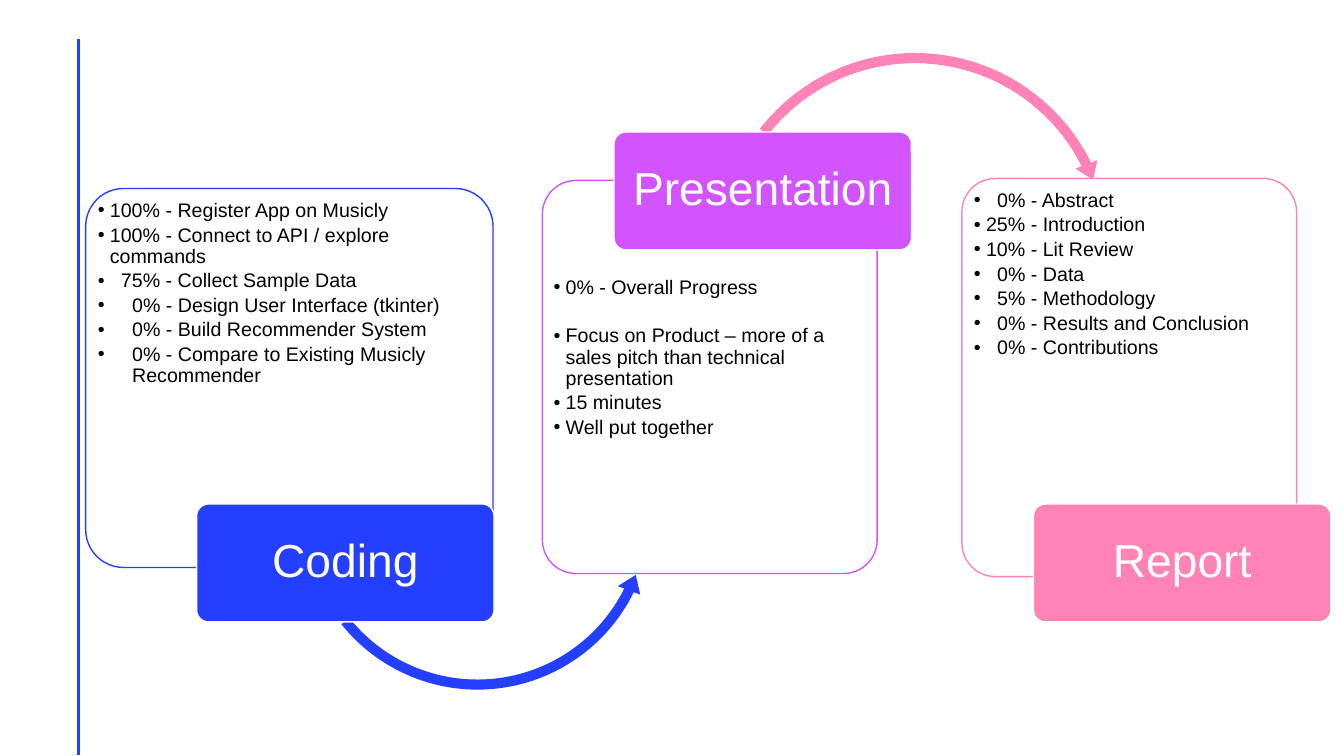
from lxml.etree import SubElement
from pptx import Presentation
from pptx.dml.color import RGBColor
from pptx.enum.shapes import MSO_CONNECTOR as Connector, MSO_SHAPE as Preset
from pptx.enum.text import MSO_ANCHOR as Anchor, MSO_AUTO_SIZE as AutoSize, PP_ALIGN as Align
from pptx.oxml.ns import qn
from pptx.util import Inches, Pt

COLORS = {
    "blue": "243FFF",
    "purple": "D154FF",
    "pink": "FF83B6",
    "white": "FFFFFF",
    "black": "000000",
}
FONT = "Arial"
LABEL_SIZE = (2.95, 1.17)
HANG = 0.12
DIGIT_WIDTH = 0.11

CODING = [
    "100% - Register App on Musicly",
    "100% - Connect to API / explore commands",
    "75% - Collect Sample Data",
    "0% - Design User Interface (tkinter)",
    "0% - Build Recommender System",
    "0% - Compare to Existing Musicly Recommender",
]
PRESENTATION = [
    "0% - Overall Progress",
    "Focus on Product – more of a sales pitch than technical presentation",
    "15 minutes",
    "Well put together",
]
REPORT = [
    "0% - Abstract",
    "25% - Introduction",
    "10% - Lit Review",
    "0% - Data",
    "5% - Methodology",
    "0% - Results and Conclusion",
    "0% - Contributions",
]


def color(name):
    return RGBColor.from_string(COLORS[name])


def percent_digits(item):
    digits, mark, _ = item.partition("%")
    return len(digits) if mark else None


class ProgressPage:
    def __init__(self, deck):
        self.page = deck.slides.add_slide(deck.slide_layouts[4])
        self.bodies = {body.placeholder_format.idx: body for body in self.page.placeholders}

    def add_rule(self, x, top, bottom, name):
        rule = self.page.shapes.add_connector(
            Connector.STRAIGHT, Inches(x), Inches(top), Inches(x), Inches(bottom))
        rule.line.color.rgb = color(name)
        rule.line.width = Pt(2)
        SubElement(rule._element.spPr, qn("a:effectLst"))

    def add_shape(self, preset, box, fill, line=None):
        shape = self.page.shapes.add_shape(preset, *map(Inches, box))
        shape.shadow.inherit = False
        shape.fill.solid()
        shape.fill.fore_color.rgb = color(fill)
        if line:
            shape.line.color.rgb = color(line)
            shape.line.width = Pt(1)
        else:
            shape.line.fill.background()
        return shape

    def add_card(self, box, name):
        card = self.add_shape(Preset.ROUNDED_RECTANGLE, box, "white", name)
        card.adjustments[0] = 0.1
        tint = card._element.spPr.find(qn("a:solidFill")).find(qn("a:srgbClr"))
        SubElement(tint, qn("a:alpha"), val="90000")

    def add_list(self, index, box, items, gap_after_first=2.4):
        body = self.bodies.pop(index)
        body.left, body.top, body.width, body.height = map(Inches, box)
        self.page.shapes._spTree.append(body._element)
        frame = body.text_frame
        frame.auto_size = AutoSize.NONE
        frame.word_wrap = True
        frame.vertical_anchor = Anchor.TOP
        frame.margin_left = frame.margin_right = Inches(0.03)
        frame.margin_top = frame.margin_bottom = Inches(0.03)
        frame.text = "\n".join(items)
        widest = max(percent_digits(item) or 0 for item in items)
        for number, (para, item) in enumerate(zip(frame.paragraphs, items)):
            missing = widest - (percent_digits(item) or widest)
            indent = Inches(HANG + missing * DIGIT_WIDTH)
            para.alignment = Align.LEFT
            para.line_spacing = 0.9
            para.space_before = Pt(0)
            para.space_after = Pt(2.4 if number else gap_after_first)
            properties = para._p.get_or_add_pPr()
            properties.set("marL", str(indent))
            properties.set("indent", str(-indent))
            SubElement(properties, qn("a:buChar"), char="•")
            self.set_font(para, 14, "black")

    def add_label(self, left, top, text, name):
        label = self.add_shape(
            Preset.ROUNDED_RECTANGLE, (left, top, *LABEL_SIZE), name, "white")
        label.adjustments[0] = 0.1
        frame = label.text_frame
        frame.word_wrap = True
        frame.vertical_anchor = Anchor.MIDDLE
        frame.text = text
        para = frame.paragraphs[0]
        para.alignment = Align.CENTER
        para.line_spacing = 0.9
        self.set_font(para, 33, "white")

    def add_arrow(self, preset, left, top, side, percents, name):
        arrow = self.add_shape(preset, (left, top, side, side), name)
        for number, percent in enumerate(percents):
            arrow.adjustments[number] = percent / 100

    def set_font(self, para, size, name):
        para.font.name = FONT
        para.font.size = Pt(size)
        para.font.bold = False
        para.font.color.rgb = color(name)

    def remove_unused(self):
        for body in self.bodies.values():
            self.page.shapes._spTree.remove(body._element)


def main():
    deck = Presentation()
    deck.slide_width, deck.slide_height = Inches(13.33), Inches(7.5)
    progress = ProgressPage(deck)
    progress.add_rule(0.78, 0.39, 7.49, "blue")

    progress.add_card((0.85, 1.87, 4.04, 3.76), "blue")
    progress.add_list(2, (0.94, 1.96, 3.86, 2.78), CODING)
    progress.add_arrow(Preset.LEFT_CIRCULAR_ARROW, 2.94, 3.32, 3.59,
                       (2.8, 342.9, 1575.8, 8481.9, 3.3), "blue")
    progress.add_label(1.95, 5, "Coding", "blue")

    progress.add_card((5.38, 1.79, 3.32, 3.9), "purple")
    progress.add_list(4, (5.46, 2.72, 3.14, 2.89), PRESENTATION, gap_after_first=19.7)
    progress.add_arrow(Preset.CIRCULAR_ARROW, 7.06, 0.46, 4.03,
                       (2.5, 303, 20016.8, 13070.8, 2.9), "pink")
    progress.add_label(6.09, 1.31, "Presentation", "purple")

    progress.add_card((9.54, 1.77, 3.32, 3.95), "pink")
    progress.add_list(1, (9.63, 1.86, 3.14, 2.93), REPORT)
    progress.add_label(10.25, 5, "Report", "pink")

    progress.remove_unused()
    deck.save("out.pptx")


if __name__ == "__main__":
    main()
